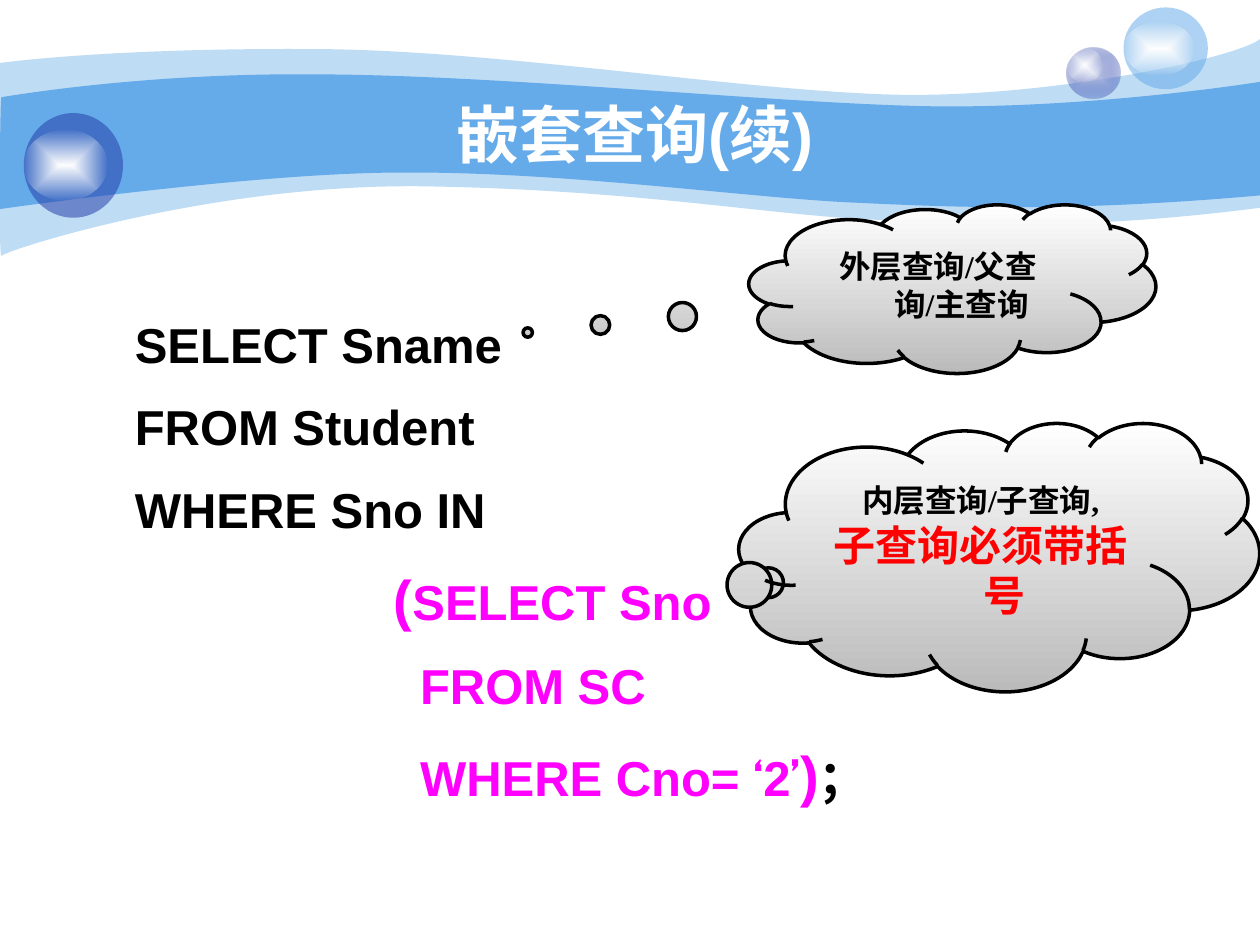
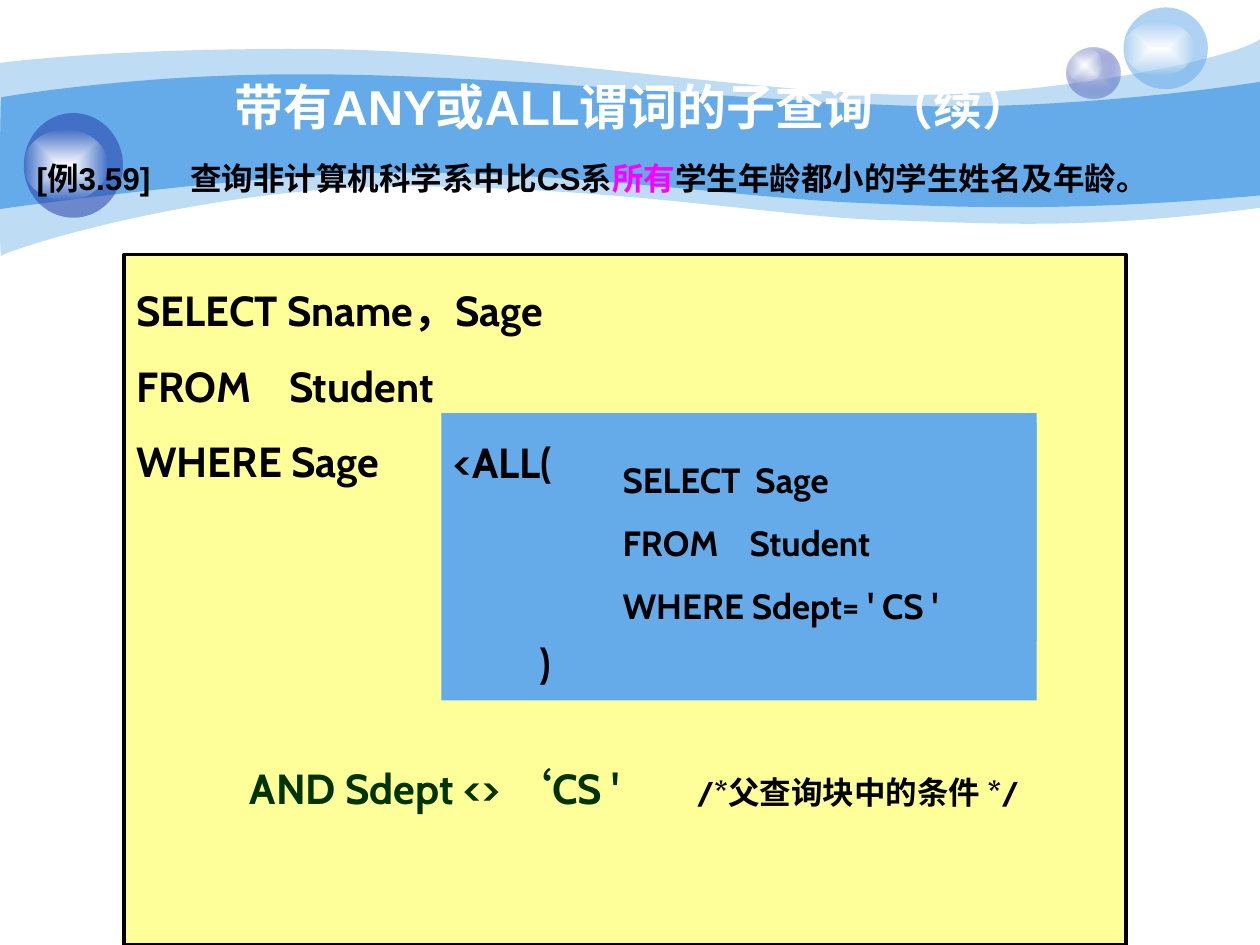
from lxml.etree import SubElement
from pptx import Presentation
from pptx.dml.color import RGBColor
from pptx.enum.shapes import MSO_SHAPE
from pptx.enum.text import MSO_ANCHOR, PP_ALIGN
from pptx.oxml.ns import qn
from pptx.util import Cm, Pt

SKY, NAVY, WHITE, BLACK = "65AAE9", "233DA9", "FFFFFF", "000000"
YELLOW, PINK, RED, GREEN = "FFFF99", "FF00FF", "FF0000", "003300"
SANS, CODE, SERIF = "Arial", "Cabin", "Times New Roman"

# Wave outlines in cm: one point is a straight edge, three points are a Bezier curve.
WAVES = [
    (41, (0, 1.27), [
        [(0.61, 1.19), (2.72, 0.97), (6.27, 0.99)],
        [(9.8, 0.99), (14.6, 1.78), (17.75, 1.9)],
        [(20.88, 2.03), (24.89, 1.19), (25.4, 0.79)],
        [(25.4, 4.19)],
        [(21.79, 4.65), (19.99, 4.5), (17.91, 4.44)],
        [(15.8, 4.39), (13.08, 3.84), (8.71, 3.76)],
        [(4.37, 3.66), (0.1, 5.05), (0.03, 5.16)],
        [(-0.03, 5.28), (0, 1.9), (0, 1.27)]]),
    (100, (0.03, 1.96), [
        [(0.05, 1.96), (2.79, 1.47), (6.3, 1.5)],
        [(9.8, 1.5), (15.11, 2.03), (18.24, 2.13)],
        [(21.36, 2.24), (24.79, 1.75), (25.4, 1.65)],
        [(25.4, 3.94)],
        [(21.67, 4.27), (19.43, 4.19), (17.32, 4.09)],
        [(15.21, 4.01), (11.38, 3.45), (8.05, 3.48)],
        [(5.16, 3.48), (-0.05, 4.22), (-0.03, 4.22)],
        [(0, 4.22), (0, 1.96), (0.03, 1.96)]]),
]

# Bubbles: place of the ball, its gradient stops (colour, opacity), place of its shine.
BUBBLES = [
    ((21.51, 0.97, 1.07, 1.02), [("C7CEE9", 100), (NAVY, 31)], (21.51, 0.97, 0.71, 0.69)),
    ((22.65, 0.15, 1.7, 1.65), [(SKY, 53)], (22.65, 0.43, 1.42, 1.09)),
    ((0.48, 2.28, 2, 2.11), [(NAVY, 53)], (0.48, 2.62, 1.68, 1.42)),
]
SHINE = [(WHITE, 100), (WHITE, 0)]
CLOUD_SHADE = [(WHITE, 100), ("BBBBBB", 100)]

# A paragraph is (runs, layout); a run is (text, size, colour, font).
NESTED_QUERY = [
    ([("SELECT Sname", 28, BLACK, SANS)], {"left": 1.38}),
    ([("FROM Student", 28, BLACK, SANS)], {"left": 1.38}),
    ([("WHERE Sno IN", 28, BLACK, SANS)], {"left": 1.38}),
    ([("(", 32, PINK, SANS), ("SELECT Sno", 28, PINK, SANS)], {"left": 6.6}),
    ([("FROM SC", 28, PINK, SANS)], {"left": 7.13}),
    ([("WHERE Cno= ", 28, PINK, SANS), ("‘", 28, PINK, CODE), ("2", 28, PINK, SANS),
      ("’", 28, PINK, CODE), (")", 32, PINK, SANS), ("；", 28, BLACK, SANS)],
     {"left": 7.13}),
]
CLOUDS = [
    ((15.1, 4.12, 8.2, 3.4), (-1.044, 0.26),
     [("外层查询/父查询/主查询", 18, BLACK, SERIF)]),
    ((14.9, 8.52, 10.49, 5.41), (-0.435, 0.095),
     [("内层查询/子查询,", 18, BLACK, SERIF), ("子查询必须带括号", 24, RED, SERIF)]),
]
TASK = [([("[例3.59]\t查询非计算机科学系中比CS系", 18, BLACK, SANS),
          ("所有", 18, PINK, SANS),
          ("学生年龄都小的学生姓名及年龄。", 18, BLACK, SANS)], {"tab": 3.1})]
OUTER_QUERY = [
    ([("SELECT Sname，Sage", 24, BLACK, CODE)], {}),
    ([("FROM\tStudent", 24, BLACK, CODE)], {"tab": 3.08}),
    ([("WHERE Sage", 24, BLACK, CODE)], {}),
]
ALL_BRACKETS = [
    ([("<ALL(", 24, BLACK, CODE)], {}),
    ([(")", 24, BLACK, CODE)], {"left": 1.72, "before": 86}),
]
INNER_QUERY = [
    ([("SELECT\tSage", 20, BLACK, CODE)], {"tab": 2.68}),
    ([("FROM\tStudent", 20, BLACK, CODE)], {"tab": 2.56}),
    ([("WHERE Sdept= ' CS '", 20, BLACK, CODE)], {}),
]
OUTER_CONDITION = [([("AND Sdept <> ‘CS '\t", 24, GREEN, CODE),
                     ("/*父查询块中的条件 */", 18, BLACK, CODE)], {"tab": 9.01})]


def colour(hex_code):
    return RGBColor.from_string(hex_code)


def add_colour(parent, hex_code, opacity):
    node = SubElement(parent, qn("a:srgbClr"), val=hex_code)
    if opacity < 100:
        SubElement(node, qn("a:alpha"), val=str(opacity * 1000))


def paint(shape, stops, radial=True):
    """Fill with one colour, or with a gradient from the centre or from the top."""
    shape.fill.background()
    blank = shape._element.spPr.find(qn("a:noFill"))
    if len(stops) == 1:
        fill = blank.makeelement(qn("a:solidFill"))
        add_colour(fill, *stops[0])
    else:
        fill = blank.makeelement(qn("a:gradFill"), rotWithShape="1")
        stop_list = SubElement(fill, qn("a:gsLst"))
        for position, stop in zip(("0", "100000"), stops):
            add_colour(SubElement(stop_list, qn("a:gs"), pos=position), *stop)
        if radial:
            centre = SubElement(fill, qn("a:path"), path="rect")
            SubElement(centre, qn("a:fillToRect"), l="50000", t="50000", r="50000", b="50000")
        else:
            SubElement(fill, qn("a:lin"), ang="5400000", scaled="1")
    blank.getparent().replace(blank, fill)


def style(shape, stops, outlined=False, radial=True):
    shape.shadow.inherit = False
    paint(shape, stops, radial)
    if outlined:
        shape.line.color.rgb = colour(BLACK)
        shape.line.width = Pt(2)
    else:
        shape.line.fill.background()


def add_figure(page, kind, place, stops, **options):
    shape = page.shapes.add_shape(kind, *map(Cm, place))
    style(shape, stops, **options)
    return shape


def add_wave(page, opacity, start, edges):
    """Draw through all the points, then merge each three into one Bezier curve."""
    points = [(Cm(x), Cm(y)) for edge in edges for x, y in edge]
    builder = page.shapes.build_freeform(*map(Cm, start))
    builder.add_line_segments(points, close=True)
    wave = builder.convert_to_shape()
    lines = iter(list(wave._element.spPr.iter(qn("a:lnTo"))))
    for edge in edges:
        group = [next(lines) for _ in edge]
        if len(edge) == 3:
            curve = group[0].makeelement(qn("a:cubicBezTo"))
            group[0].addprevious(curve)
            for line in group:
                curve.append(line[0])
                line.getparent().remove(line)
    style(wave, [(SKY, opacity)])


def add_text_box(page, place):
    return page.shapes.add_textbox(*map(Cm, place))


def write(box, paragraphs, anchor=MSO_ANCHOR.MIDDLE, align=PP_ALIGN.LEFT,
          spacing=1.0, gap=0, hanging=0):
    frame = box.text_frame
    frame.word_wrap = True
    frame.vertical_anchor = anchor
    for index, (runs, layout) in enumerate(paragraphs):
        para = frame.paragraphs[0] if index == 0 else frame.add_paragraph()
        para.alignment = align
        para.line_spacing = spacing
        if index:
            para.space_before = Pt(layout.get("before", gap))
        properties = para._p.get_or_add_pPr()
        if "left" in layout or hanging:
            properties.set("marL", str(Cm(layout.get("left", hanging))))
            properties.set("indent", str(-Cm(hanging)))
        if "tab" in layout:
            tabs = SubElement(properties, qn("a:tabLst"))
            SubElement(tabs, qn("a:tab"), pos=str(Cm(layout["tab"])), algn="l")
        for text, size, hex_code, font in runs:
            span = para.add_run()
            span.text = text
            span.font.name = font
            span.font.size = Pt(size)
            span.font.bold = True
            span.font.color.rgb = colour(hex_code)


def add_page(deck):
    """Add a slide with the waves and bubbles that every slide shows."""
    page = deck.slides.add_slide(deck.slide_layouts[6])
    for wave in WAVES:
        add_wave(page, *wave)
    for ball, stops, shine in BUBBLES:
        add_figure(page, MSO_SHAPE.OVAL, ball, stops)
        add_figure(page, MSO_SHAPE.OVAL, shine, SHINE)
    return page


def add_title(page, text, size, left, top):
    box = add_text_box(page, (left, top, 20.52, 1.57))
    write(box, [([(text, size, WHITE, SANS)], {})], align=PP_ALIGN.CENTER)


def add_nested_query_page(deck):
    page = add_page(deck)
    add_title(page, "嵌套查询(续)", 36, 2.55, 1.9)
    box = add_text_box(page, (1.09, 5.97, 22.86, 11.29))
    write(box, NESTED_QUERY, MSO_ANCHOR.TOP, spacing=1.2, gap=7)
    for place, tail, lines in CLOUDS:
        cloud = add_figure(page, MSO_SHAPE.CLOUD_CALLOUT, place, CLOUD_SHADE,
                           outlined=True, radial=False)
        for index, offset in enumerate(tail):
            cloud.adjustments[index] = offset
        write(cloud, [([line], {}) for line in lines], align=PP_ALIGN.CENTER, hanging=0.95)


def add_all_predicate_page(deck):
    page = add_page(deck)
    panel = add_figure(page, MSO_SHAPE.RECTANGLE, (2.5, 5.13, 20.2, 13.92),
                       [(YELLOW, 100)], outlined=True)
    panel.text_frame.margin_top = Cm(0.1)
    write(panel, OUTER_QUERY, MSO_ANCHOR.TOP, spacing=1.5)
    add_title(page, "带有ANY或ALL谓词的子查询 （续）", 28, 2.5, 1.35)
    brackets = add_figure(page, MSO_SHAPE.RECTANGLE, (8.9, 8.33, 12, 5.99), [(SKY, 100)])
    write(brackets, ALL_BRACKETS)
    inner = add_figure(page, MSO_SHAPE.RECTANGLE, (12.3, 8.53, 8.6, 4.39), [(SKY, 100)])
    write(inner, INNER_QUERY, spacing=1.5)
    condition = add_figure(page, MSO_SHAPE.RECTANGLE, (2.7, 14.12, 19, 3), [(YELLOW, 100)])
    condition.text_frame.margin_left = Cm(2.34)
    write(condition, OUTER_CONDITION, spacing=1.5)
    task = add_text_box(page, (0.49, 2.92, 24, 1.6))
    write(task, TASK, MSO_ANCHOR.TOP, spacing=1.2)


def main():
    deck = Presentation()
    deck.slide_width, deck.slide_height = Cm(25.4), Cm(19.05)
    add_nested_query_page(deck)
    add_all_predicate_page(deck)
    deck.save("out.pptx")


if __name__ == "__main__":
    main()
